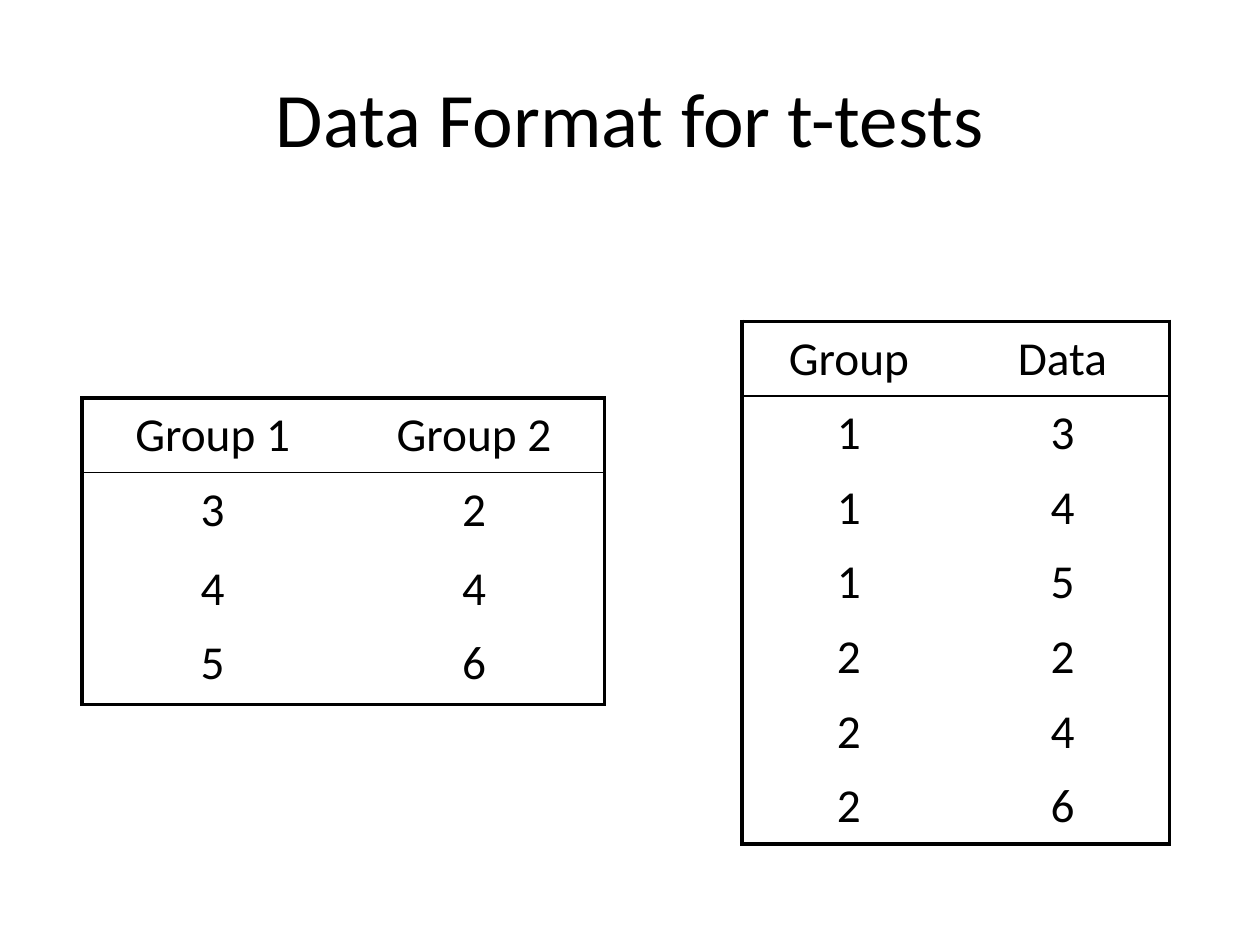
from dataclasses import dataclass

from lxml import etree
from pptx import Presentation
from pptx.dml.color import RGBColor
from pptx.enum import text
from pptx.oxml import ns
from pptx.util import Inches, Pt


@dataclass(frozen=True)
class Theme:
    font: str = "Calibri"
    ink: RGBColor = RGBColor(0, 0, 0)
    paper: RGBColor = RGBColor(255, 255, 255)
    title_size: float = 44
    table_size: float = 27
    frame_width: float = 2.25
    rule_width: float = 1


THEME = Theme()


def format_paragraph(paragraph, size):
    paragraph.alignment = text.PP_ALIGN.CENTER
    for run in paragraph.runs:
        run.font.name = THEME.font
        run.font.size = Pt(size)
        run.font.bold = False
        run.font.color.rgb = THEME.ink


def set_borders(cell, widths):
    """Draw the left, right, top and bottom borders; a width of 0 hides one."""
    properties = cell._tc.get_or_add_tcPr()
    for index, (side, width) in enumerate(zip("LRTB", widths)):
        line = etree.Element(ns.qn(f"a:ln{side}"), w=str(Pt(width)))
        if width:
            fill = etree.SubElement(line, ns.qn("a:solidFill"))
            etree.SubElement(fill, ns.qn("a:srgbClr"), val=str(THEME.ink))
        else:
            etree.SubElement(line, ns.qn("a:noFill"))
        properties.insert(index, line)


def add_title(slide, wording, left, top, width, height):
    title = slide.shapes.title
    title.left, title.top = Inches(left), Inches(top)
    title.width, title.height = Inches(width), Inches(height)
    title.text_frame.text = wording
    title.text_frame.vertical_anchor = text.MSO_ANCHOR.MIDDLE
    format_paragraph(title.text_frame.paragraphs[0], THEME.title_size)


def add_data_table(slide, rows, left, top, width, height, row_heights=None):
    """Add a framed table with a rule under its header; rows are equal by default."""
    row_count, column_count = len(rows), len(rows[0])
    table = slide.shapes.add_table(
        row_count, column_count,
        Inches(left), Inches(top), Inches(width), Inches(height)).table
    table.first_row = table.horz_banding = False
    row_heights = row_heights or [height / row_count] * row_count
    for row_index, values in enumerate(rows):
        table.rows[row_index].height = Inches(row_heights[row_index])
        for column_index, value in enumerate(values):
            cell = table.cell(row_index, column_index)
            cell.text_frame.text = str(value)
            format_paragraph(cell.text_frame.paragraphs[0], THEME.table_size)
            cell.margin_left = cell.margin_right = Inches(0.14)
            cell.margin_top, cell.margin_bottom = Inches(0.07), Inches(0.06)
            cell.vertical_anchor = text.MSO_ANCHOR.TOP
            cell.fill.background()
            frame, rule = THEME.frame_width, THEME.rule_width
            set_borders(cell, (
                frame if column_index == 0 else 0,
                frame if column_index == column_count - 1 else 0,
                {0: frame, 1: rule}.get(row_index, 0),
                {0: rule, row_count - 1: frame}.get(row_index, 0)))


def main():
    presentation = Presentation()
    presentation.slide_width, presentation.slide_height = Inches(10), Inches(7.5)
    slide = presentation.slides.add_slide(presentation.slide_layouts[5])
    slide.background.fill.solid()
    slide.background.fill.fore_color.rgb = THEME.paper

    add_title(slide, "Data Format for t-tests", 0.5, 0.3, 9, 1.25)

    groups = {1: (3, 4, 5), 2: (2, 4, 6)}
    wide_rows = [[f"Group {group}" for group in groups], *zip(*groups.values())]
    long_rows = [("Group", "Data")] + [
        (group, value) for group, values in groups.items() for value in values]
    add_data_table(slide, wide_rows, 0.65, 3.16, 4.15, 2.44,
                   row_heights=(0.59, 0.63, 0.59, 0.62))
    add_data_table(slide, long_rows, 5.89, 2.55, 3.39, 4.15)

    presentation.save("out.pptx")


if __name__ == "__main__":
    main()
